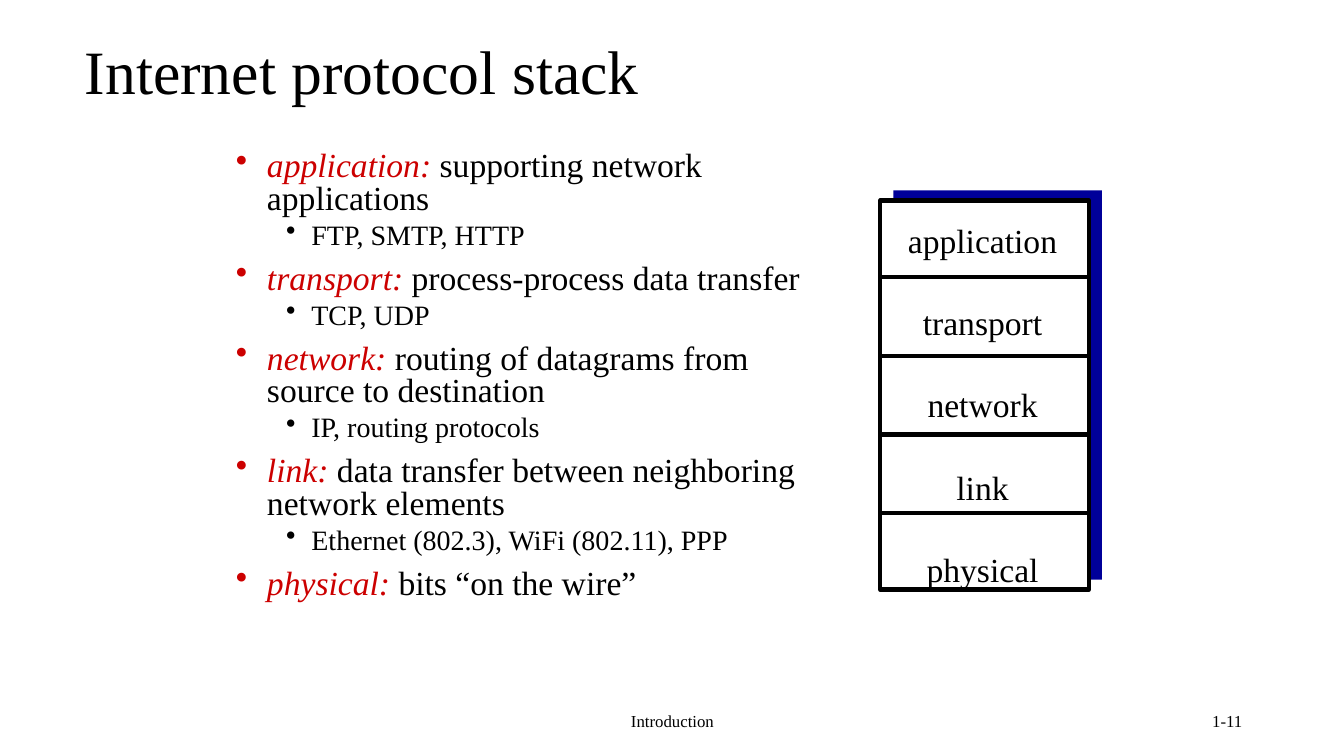
from lxml import etree
from pptx import Presentation
from pptx import util as u
from pptx.dml.color import RGBColor
from pptx.enum import shapes, text
from pptx.oxml.ns import qn

TITLE = "Internet protocol stack"
LAYERS = [
    ("application", "supporting network applications", "FTP, SMTP, HTTP"),
    ("transport", "process-process data transfer", "TCP, UDP"),
    ("network", "routing of datagrams from source to destination", "IP, routing protocols"),
    ("link", "data transfer between neighboring network elements",
     "Ethernet (802.3), WiFi (802.11), PPP"),
    ("physical", "bits “on the wire”", None),
]
FOOTERS = [
    ("Introduction", (442, 695, 450, 40), text.PP_ALIGN.CENTER),
    ("1-11", (942, 695, 300, 40), text.PP_ALIGN.RIGHT),
]

BLACK = RGBColor(0x00, 0x00, 0x00)
WHITE = RGBColor(0xFF, 0xFF, 0xFF)
RED = RGBColor(0xCC, 0x00, 0x00)
BLUE = RGBColor(0x00, 0x00, 0x99)
FONT = "Times New Roman"
PX = 9144  # EMU, 100 px to the inch

TITLE_BOX = (74, 18, 850, 112)
BODY_BOX = (224, 146, 607, 508)
STACK_BOX = (873, 199, 207, 386)
SHADOW_BOX = (886, 189, 207, 386)
LABEL_BOX = (890, 213, 169, 374)
DIVIDER_LEFT, DIVIDER_RIGHT = 872, 1078
FIRST_DIVIDER, DIVIDER_PITCH = 275, 78


def emu(lengths):
    return [u.Emu(length * PX) for length in lengths]


def add_run(paragraph, words, size, color=BLACK, italic=False):
    run = paragraph.add_run()
    run.text = words
    run.font.name = FONT
    run.font.size = u.Pt(size)
    run.font.color.rgb = color
    run.font.italic = italic


def add_frame(slide, box, wrap=True):
    frame = slide.shapes.add_textbox(*emu(box)).text_frame
    frame.word_wrap = wrap
    return frame


def add_paragraph(frame):
    """Return the frame's first paragraph while it is empty, then new ones."""
    first = frame.paragraphs[0]
    return frame.add_paragraph() if first.runs else first


def add_bullet(frame, level, indent, hanging, space):
    paragraph = add_paragraph(frame)
    paragraph.level = level
    paragraph.line_spacing = 0.8
    paragraph.space_before = u.Pt(space)
    properties = paragraph._p.get_or_add_pPr()
    properties.set("marL", str(indent * PX))
    properties.set("indent", str(-hanging * PX))
    etree.SubElement(properties, qn("a:buChar")).set("char", "•")
    return paragraph


def add_rectangle(slide, box, fill, line=None):
    shape = slide.shapes.add_shape(shapes.MSO_SHAPE.RECTANGLE, *emu(box))
    shape.shadow.inherit = False
    shape.fill.solid()
    shape.fill.fore_color.rgb = fill
    if line is None:
        shape.line.fill.background()
    else:
        shape.line.color.rgb = line
        shape.line.width = u.Pt(3)


def add_title(slide):
    title = slide.shapes.title
    title.left, title.top, title.width, title.height = emu(TITLE_BOX)
    frame = title.text_frame
    frame.auto_size = text.MSO_AUTO_SIZE.NONE
    frame.vertical_anchor = text.MSO_ANCHOR.MIDDLE
    paragraph = frame.paragraphs[0]
    paragraph.alignment = text.PP_ALIGN.LEFT
    paragraph.line_spacing = 0.9
    add_run(paragraph, TITLE, 44)


def add_descriptions(slide):
    frame = add_frame(slide, BODY_BOX)
    for name, duty, protocols in LAYERS:
        paragraph = add_bullet(frame, 0, 31, 31, 10)
        add_run(paragraph, f"{name}:", 24, RED, True)
        add_run(paragraph, f" {duty}", 24)
        if protocols:
            add_run(add_bullet(frame, 1, 75, 25, 5), protocols, 20)


def add_stack(slide):
    add_rectangle(slide, SHADOW_BOX, BLUE)
    add_rectangle(slide, STACK_BOX, WHITE, BLACK)
    frame = add_frame(slide, LABEL_BOX, wrap=False)
    for name, *_ in LAYERS:
        paragraph = add_paragraph(frame)
        paragraph.alignment = text.PP_ALIGN.CENTER
        paragraph.space_after = u.Pt(30)
        add_run(paragraph, name, 24)
    for index in range(len(LAYERS) - 1):
        y = FIRST_DIVIDER + index * DIVIDER_PITCH
        divider = slide.shapes.add_connector(
            shapes.MSO_CONNECTOR.STRAIGHT, *emu((DIVIDER_LEFT, y, DIVIDER_RIGHT, y)))
        divider.line.color.rgb = BLACK
        divider.line.width = u.Pt(3)
        etree.SubElement(divider._element.spPr, qn("a:effectLst"))


def add_footers(slide):
    for words, box, alignment in FOOTERS:
        frame = add_frame(slide, box)
        frame.vertical_anchor = text.MSO_ANCHOR.MIDDLE
        paragraph = frame.paragraphs[0]
        paragraph.alignment = alignment
        add_run(paragraph, words, 12)


def main():
    presentation = Presentation()
    presentation.slide_width, presentation.slide_height = emu((1333, 750))
    slide = presentation.slides.add_slide(presentation.slide_layouts[5])
    add_title(slide)
    add_descriptions(slide)
    add_stack(slide)
    add_footers(slide)
    presentation.save("out.pptx")


if __name__ == "__main__":
    main()
